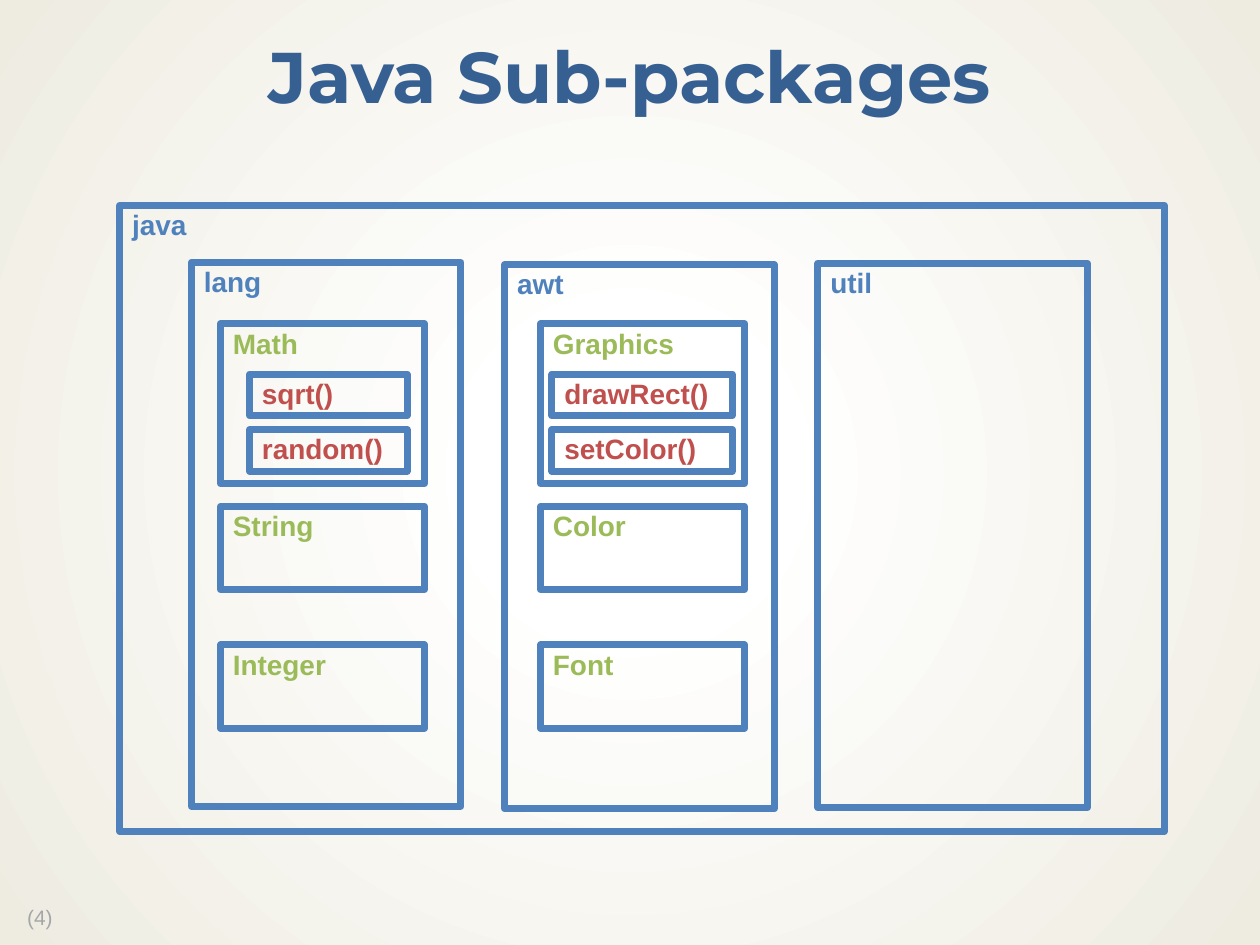
"""Draws the nested boxes of the Java package tree on one slide."""
from dataclasses import dataclass

from lxml import etree
from pptx import Presentation
from pptx.dml.color import RGBColor
from pptx.enum import shapes, text
from pptx.oxml import parse_xml
from pptx.oxml.ns import nsdecls, qn
from pptx.util import Pt


@dataclass(frozen=True)
class Theme:
    """Colours, fonts and sizes of the slide."""
    head: str = "376092"
    pack: str = "4F81BD"
    kind: str = "9BBB59"
    call: str = "C0504D"
    note: str = "A6A6A6"
    inner: str = "FFFFFF"
    outer: str = "EEECE1"
    font: str = "Arial"
    show: str = "Montserrat"
    big: float = 41
    mid: float = 16
    small: float = 12
    edge: float = 4


THEME = Theme()
PACKS = [
    ("lang", 149.8, 126, 142.6, 90,
     [("Math", ["sqrt()", "random()"]), ("String", []), ("Integer", [])]),
    ("awt", 151.2, 308.9, 315.4, 103,
     [("Graphics", ["drawRect()", "setColor()"]), ("Color", []), ("Font", [])]),
    ("util", 150.5, 0, 0, 0, []),
]
ROWS = [(185, 91.4), (289.4, 47.5), (368.6, 47.5)]


def paint(slide):
    """Fill the background with a round gradient."""
    fill = slide.background.fill
    fill.gradient()
    grad = slide.background._cSld.find(".//" + qn("a:gradFill"))
    new = parse_xml(
        f'<a:gradFill {nsdecls("a")} rotWithShape="1"><a:gsLst>'
        f'<a:gs pos="18000"><a:srgbClr val="{THEME.inner}"/></a:gs>'
        f'<a:gs pos="100000"><a:srgbClr val="{THEME.outer}"/></a:gs></a:gsLst>'
        '<a:path path="circle"><a:fillToRect l="50000" t="50000" r="50000" b="50000"/>'
        '</a:path></a:gradFill>')
    grad.getparent().replace(grad, new)


def write(shape, words, size, tint, font=THEME.font, bold=True,
          align=text.PP_ALIGN.LEFT, anchor=text.MSO_ANCHOR.TOP, wrap=True):
    """Put one styled paragraph in a shape."""
    frame = shape.text_frame
    frame.word_wrap = wrap
    frame.vertical_anchor = anchor
    para = frame.paragraphs[0]
    para.text = words
    para.alignment = align
    para.line_spacing = 0.9
    para.font.name = font
    para.font.size = Pt(size)
    para.font.bold = bold
    para.font.color.rgb = RGBColor.from_string(tint)


def label(slide, words, x, y, w, h, *style, **more):
    """Add a text box."""
    box = slide.shapes.add_textbox(Pt(x), Pt(y), Pt(w), Pt(h))
    write(box, words, *style, **more)


def frame(slide, words, x, y, w, h, tint):
    """Add an outlined box with its name at the top left."""
    box = slide.shapes.add_shape(
        shapes.MSO_SHAPE.RECTANGLE, Pt(x), Pt(y), Pt(w), Pt(h))
    box.shadow.inherit = False
    box.fill.background()
    box.line.color.rgb = RGBColor.from_string(THEME.pack)
    box.line.width = Pt(THEME.edge)
    etree.SubElement(box.line._get_or_add_ln(), qn("a:round"))
    write(box, words, THEME.mid, tint)


def pack(slide, x, name, top, left, inset, width, kinds):
    """Add a package with its classes and their methods."""
    frame(slide, name, x, top, 154.1, 311, THEME.pack)
    for (kind, calls), (y, h) in zip(kinds, ROWS):
        frame(slide, kind, left, y, 116.6, h, THEME.kind)
        for i, call in enumerate(calls):
            frame(slide, call, inset, y + 28.8 + 31.7 * i, width, 23.8, THEME.call)


def main():
    """Build and save the slide."""
    deck = Presentation()
    deck.slide_width, deck.slide_height = Pt(720), Pt(540)
    slide = deck.slides.add_slide(deck.slide_layouts[6])
    paint(slide)
    label(slide, "(4)", 8.4, 514.8, 37, 20.2, THEME.small, THEME.note,
          bold=False, wrap=False)
    label(slide, "Java Sub-packages", 0, 12.2, 720, 67.7, THEME.big, THEME.head,
          font=THEME.show, align=text.PP_ALIGN.CENTER, anchor=text.MSO_ANCHOR.MIDDLE)
    frame(slide, "java", 68.4, 117.4, 596.9, 357.8, THEME.pack)
    for i, item in enumerate(PACKS):
        pack(slide, 109.4 + 179 * i, *item)
    deck.save("out.pptx")


main()
